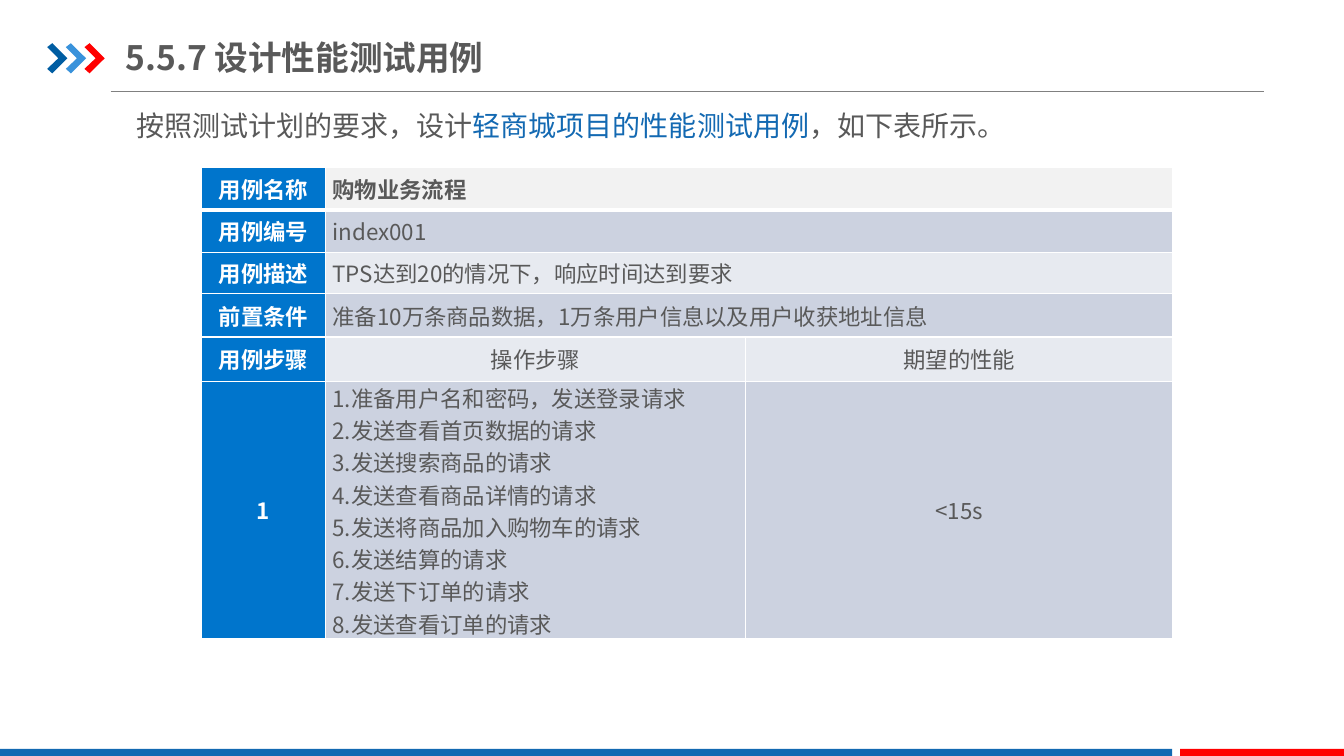
import pptx
import pptx.dml.color
import pptx.enum.shapes
import pptx.enum.text
import pptx.oxml
import pptx.oxml.ns
import pptx.util
from pptx.util import Cm

FONT = "Noto Sans CJK SC"
GREY = "595959"
BLUE = "1369B2"
RED = "FF0000"
WHITE = "FFFFFF"
LABEL_FILL = "0075CC"
BAND_FILLS = ["F2F2F2", "CCD2E0", "E7EAF0", "CCD2E0", "E7EAF0", "CCD2E0"]
COLUMN_WIDTHS = [3.12, 10.59, 10.77]
ROW_HEIGHTS = [1.07, 1.07, 1.04, 1.09, 1.12, 6.47]
STEPS = [
    "1.准备用户名和密码，发送登录请求",
    "2.发送查看首页数据的请求",
    "3.发送搜索商品的请求",
    "4.发送查看商品详情的请求",
    "5.发送将商品加入购物车的请求",
    "6.发送结算的请求",
    "7.发送下订单的请求",
    "8.发送查看订单的请求",
]
TEST_CASE = [
    ["用例名称", "购物业务流程"],
    ["用例编号", "index001"],
    ["用例描述", "TPS达到20的情况下，响应时间达到要求"],
    ["前置条件", "准备10万条商品数据，1万条用户信息以及用户收获地址信息"],
    ["用例步骤", "操作步骤", "期望的性能"],
    ["1", "\n".join(STEPS), "<15s"],
]


def color(hex_string):
    return pptx.dml.color.RGBColor.from_string(hex_string)


def style_paragraph(paragraph, size, hex_string, bold=False, centred=False):
    if centred:
        paragraph.alignment = pptx.enum.text.PP_ALIGN.CENTER
    font = paragraph.font
    font.size = pptx.util.Pt(size)
    font.bold = bold
    font.color.rgb = color(hex_string)
    font.name = FONT
    properties = paragraph._p.get_or_add_pPr().get_or_add_defRPr()
    east_asian = pptx.oxml.parse_xml(
        f'<a:ea {pptx.oxml.ns.nsdecls("a")} typeface="{FONT}"/>')
    properties.append(east_asian)


def paint(shape, hex_string):
    shape.shadow.inherit = False
    shape.fill.solid()
    shape.fill.fore_color.rgb = color(hex_string)
    shape.line.fill.background()


def add_chevron(slide, left, top, width, height, hex_string):
    outline = [(0, 0.13), (0.25, 0), (1, 0.5), (0.25, 1), (0, 0.85), (0.55, 0.5)]
    points = [(int(left + x * width), int(top + y * height)) for x, y in outline]
    builder = slide.shapes.build_freeform(*points[0])
    builder.add_line_segments(points[1:], close=True)
    paint(builder.convert_to_shape(), hex_string)


def add_header(slide, left, top, width, height):
    for index, hex_string in enumerate(["005DA2", "3992DB", RED]):
        add_chevron(slide, left + index * Cm(0.47), top + Cm(0.35),
                    Cm(0.51), Cm(0.76), hex_string)

    title = slide.shapes.add_textbox(left + Cm(1.98), top, Cm(23.55), Cm(1.4))
    frame = title.text_frame
    frame.word_wrap = True
    frame.vertical_anchor = pptx.enum.text.MSO_ANCHOR.MIDDLE
    frame.margin_left = frame.margin_right = 0
    frame.margin_top = frame.margin_bottom = Cm(0.18)
    frame.text = "5.5.7 设计性能测试用例"
    style_paragraph(frame.paragraphs[0], 24, GREY, bold=True)

    rule = slide.shapes.add_connector(
        pptx.enum.shapes.MSO_CONNECTOR.STRAIGHT,
        left + Cm(1.6), top + height, left + width, top + height)
    rule.line.color.rgb = color("808080")
    rule.line.width = pptx.util.Pt(0.75)
    rule._element.spPr.append(pptx.oxml.parse_xml(
        f'<a:effectLst {pptx.oxml.ns.nsdecls("a")}/>'))


def add_introduction(slide, left, top, width, height):
    frame = slide.shapes.add_textbox(left, top, width, height).text_frame
    frame.word_wrap = True
    paragraph = frame.paragraphs[0]
    style_paragraph(paragraph, 20, GREY)
    for text, hex_string in [("按照测试计划的要求，设计", GREY),
                             ("轻商城项目的性能测试用例", BLUE),
                             ("，如下表所示。", GREY)]:
        run = paragraph.add_run()
        run.text = text
        run.font.color.rgb = color(hex_string)


def set_borders(cell, top_width, bottom_width):
    properties = cell._tc.get_or_add_tcPr()
    for side, points in [("L", 1), ("R", 1), ("T", top_width), ("B", bottom_width)]:
        properties.append(pptx.oxml.parse_xml(
            f'<a:ln{side} {pptx.oxml.ns.nsdecls("a")} w="{pptx.util.Pt(points)}">'
            f'<a:solidFill><a:srgbClr val="{WHITE}"/></a:solidFill></a:ln{side}>'))


def add_test_case_table(slide, left, top):
    table = slide.shapes.add_table(
        len(ROW_HEIGHTS), len(COLUMN_WIDTHS), left, top,
        Cm(sum(COLUMN_WIDTHS)), Cm(sum(ROW_HEIGHTS))).table
    table.first_row = False
    table.horz_banding = False
    for column, width in zip(table.columns, COLUMN_WIDTHS):
        column.width = Cm(width)
    for row, height in zip(table.rows, ROW_HEIGHTS):
        row.height = Cm(height)

    for row_index, texts in enumerate(TEST_CASE):
        for column_index in range(len(COLUMN_WIDTHS)):
            cell = table.cell(row_index, column_index)
            is_label = column_index == 0
            set_borders(cell, 3 if row_index == 1 else 1, 3 if row_index == 0 else 1)
            cell.fill.solid()
            cell.fill.fore_color.rgb = color(
                LABEL_FILL if is_label else BAND_FILLS[row_index])
            cell.vertical_anchor = pptx.enum.text.MSO_ANCHOR.MIDDLE
            cell.margin_left = cell.margin_right = Cm(0.18)
            cell.margin_top = cell.margin_bottom = 0
            if column_index >= len(texts):
                continue
            cell.text = texts[column_index]
            centred = is_label or column_index == 2 or texts[0] == "用例步骤"
            for paragraph in cell.text_frame.paragraphs:
                style_paragraph(paragraph, 16, WHITE if is_label else GREY,
                                bold=is_label or row_index == 0, centred=centred)
        if len(texts) == 2:
            table.cell(row_index, 1).merge(table.cell(row_index, 2))


def add_footer(slide, left, top, width, height):
    red_width = Cm(4.13)
    blue_width = width - red_width - Cm(0.2)
    for bar_left, bar_width, hex_string in [
            (left, blue_width, BLUE), (left + width - red_width, red_width, RED)]:
        bar = slide.shapes.add_shape(
            pptx.enum.shapes.MSO_SHAPE.RECTANGLE, bar_left, top, bar_width, height)
        paint(bar, hex_string)


def main():
    presentation = pptx.Presentation()
    presentation.slide_width = Cm(33.87)
    presentation.slide_height = Cm(19.05)
    slide = presentation.slides.add_slide(presentation.slide_layouts[6])
    add_header(slide, Cm(1.19), Cm(0.74), Cm(30.66), Cm(1.57))
    add_footer(slide, 0, Cm(18.87), presentation.slide_width, Cm(0.18))
    add_test_case_table(slide, Cm(5.08), Cm(4.22))
    add_introduction(slide, Cm(3.18), Cm(2.62), Cm(22.43), Cm(1.12))
    presentation.save("out.pptx")


if __name__ == "__main__":
    main()
